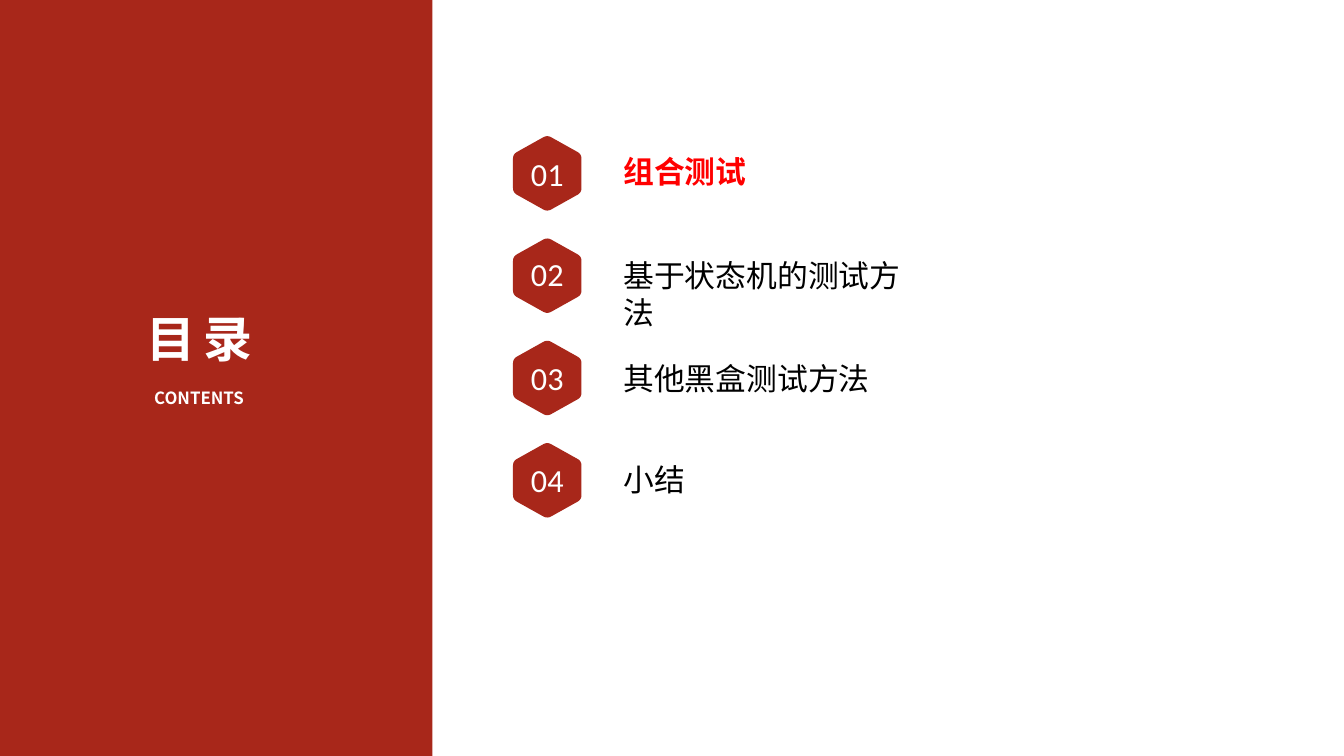
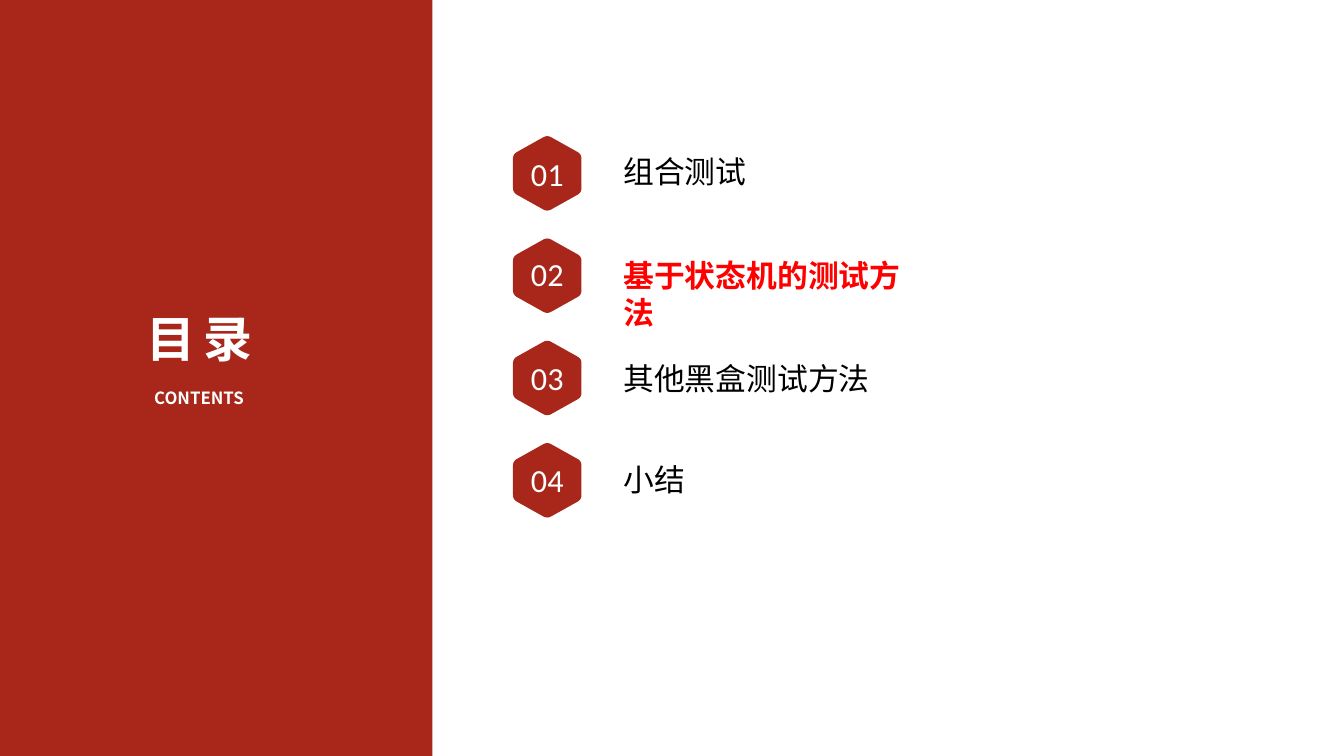
from dataclasses import dataclass

from lxml.etree import SubElement
from pptx import Presentation
from pptx.dml.color import RGBColor
from pptx.enum.shapes import MSO_SHAPE
from pptx.enum.text import MSO_ANCHOR, MSO_AUTO_SIZE, PP_ALIGN
from pptx.oxml.ns import qn
from pptx.util import Emu, Pt

EMU_PER_PX = 9144  # 100 px to the inch
PAGE_WIDTH, PAGE_HEIGHT = 2667, 1500
PANEL_WIDTH = 858
INSET = 5

BRICK = RGBColor(0xA8, 0x27, 0x1A)
RED = RGBColor(0xFF, 0x00, 0x00)
BLACK = RGBColor(0x00, 0x00, 0x00)
WHITE = RGBColor(0xFF, 0xFF, 0xFF)

CHINESE_FONT = "Noto Sans CJK SC"
NUMBER_FONT = "Calibri"

BADGE_X, FIRST_BADGE_Y, BADGE_PITCH = 1086, 344, 203
BADGE_CORNERS = [(0, -76), (68, -38), (68, 38), (0, 76), (-68, 38), (-68, -38)]
CORNER_CUT, CORNER_STEPS = 9, 6


@dataclass
class Chapter:
    title: str
    top: int
    width: int
    height: int
    number_top: int


CHAPTERS = [
    Chapter("组合测试", 298, 418, 93, 292),
    Chapter("基于状态机的测试方法", 504, 621, 78, 490),
    Chapter("其他黑盒测试方法", 709, 503, 76, 697),
    Chapter("小结", 910, 270, 86, 900),
]


def px(length):
    return Emu(round(length * EMU_PER_PX))


def paint(shape, color):
    shape.fill.solid()
    shape.fill.fore_color.rgb = color
    shape.line.fill.background()
    shape.shadow.inherit = False


def write(box, text, size, color, font=CHINESE_FONT, bold=False,
          align=PP_ALIGN.LEFT, anchor=MSO_ANCHOR.TOP, spacing=None):
    """Fill a box with one paragraph; spacing is in hundredths of a point."""
    frame = box.text_frame
    frame.word_wrap = True
    frame.auto_size = MSO_AUTO_SIZE.NONE
    frame.vertical_anchor = anchor
    frame.margin_left = frame.margin_right = px(INSET)
    frame.margin_top = frame.margin_bottom = px(INSET)
    frame.text = text
    para = frame.paragraphs[0]
    para.alignment = align
    para.font.name = font
    para.font.size = Pt(size)
    para.font.bold = bold
    para.font.color.rgb = color
    defaults = para._p.pPr.find(qn("a:defRPr"))
    SubElement(defaults, qn("a:ea")).set("typeface", font)
    if spacing:
        defaults.set("spc", str(spacing))


def add_text(page, left, top, width, height, text, size, color, **style):
    box = page.shapes.add_textbox(px(left), px(top), px(width), px(height))
    write(box, text, size, color, **style)


def toward(start, end, distance):
    dx, dy = end[0] - start[0], end[1] - start[1]
    share = distance / (dx * dx + dy * dy) ** 0.5
    return start[0] + dx * share, start[1] + dy * share


def rounded_outline(corners):
    """Replace each corner by points on a quadratic curve."""
    points = []
    for index, corner in enumerate(corners):
        before = toward(corner, corners[index - 1], CORNER_CUT)
        after = toward(corner, corners[(index + 1) % len(corners)], CORNER_CUT)
        for step in range(CORNER_STEPS + 1):
            t = step / CORNER_STEPS
            points.append(tuple(
                (1 - t) ** 2 * a + 2 * t * (1 - t) * b + t ** 2 * c
                for a, b, c in zip(before, corner, after)))
    return points


def add_badge(page, center_y):
    points = [(px(BADGE_X + x), px(center_y + y))
              for x, y in rounded_outline(BADGE_CORNERS)]
    builder = page.shapes.build_freeform(*points[0])
    builder.add_line_segments(points[1:], close=True)
    paint(builder.convert_to_shape(), BRICK)


def add_title_panel(page):
    panel = page.shapes.add_shape(
        MSO_SHAPE.RECTANGLE, 0, 0, px(PANEL_WIDTH), px(PAGE_HEIGHT))
    paint(panel, BRICK)
    title = page.shapes.title
    title.element.addprevious(panel.element)
    title.left, title.top = px(112), px(608)
    title.width, title.height = px(568), px(285)
    write(title, "目录", 70, WHITE, bold=True, align=PP_ALIGN.CENTER, spacing=1170)
    add_text(page, 187, 764, 416, 99, "CONTENTS", 24, WHITE,
             bold=True, align=PP_ALIGN.CENTER)


def add_chapter(page, index, chapter, current):
    add_badge(page, FIRST_BADGE_Y + index * BADGE_PITCH)
    add_text(page, 999, chapter.number_top, 174, 105, f"{index + 1:02}", 46, WHITE,
             font=NUMBER_FONT, align=PP_ALIGN.CENTER, anchor=MSO_ANCHOR.MIDDLE)
    add_text(page, 1232, chapter.top, chapter.width, chapter.height, chapter.title,
             44, RED if current else BLACK, bold=current)


def add_contents_page(deck, current_index):
    page = deck.slides.add_slide(deck.slide_layouts.get_by_name("Title Only"))
    add_title_panel(page)
    for index, chapter in enumerate(CHAPTERS):
        add_chapter(page, index, chapter, index == current_index)


def main():
    deck = Presentation()
    deck.slide_width, deck.slide_height = px(PAGE_WIDTH), px(PAGE_HEIGHT)
    for current_index in range(2):
        add_contents_page(deck, current_index)
    deck.save("out.pptx")


if __name__ == "__main__":
    main()
